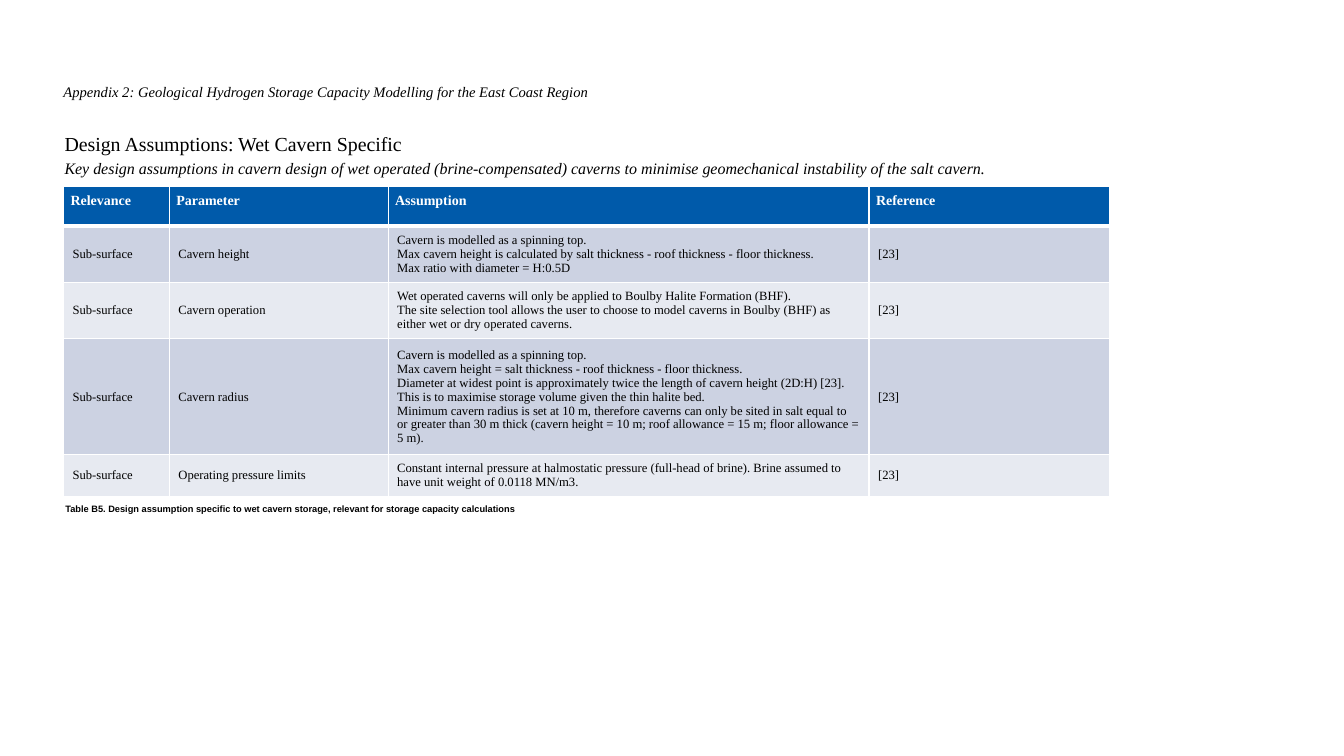
from lxml import etree
from pptx import Presentation
from pptx.dml.color import RGBColor
from pptx.enum.text import MSO_ANCHOR as Anchor
from pptx.oxml.ns import qn
from pptx.util import Inches, Pt

COLORS = {"black": "000000", "white": "FFFFFF", "header": "005AAA",
          "odd": "CCD2E2", "even": "E7EAF1"}
SERIF, SANS = "Times New Roman", "Arial"

# Content: text, (left, top, width, height), inset (x, y), anchor, font
TEXTS = [
    ("Appendix 2: Geological Hydrogen Storage Capacity Modelling for the East Coast Region",
     (0.63, 0.84, 5.53, 0.16), (0, 0), Anchor.BOTTOM,
     dict(size=10.4, italic=True)),
    ("Design Assumptions: Wet Cavern Specific",
     (0.64, 1.02, 12.06, 0.52), (0, 0), Anchor.BOTTOM,
     dict(size=14.2, line_spacing=44)),
    ("Key design assumptions in cavern design of wet operated (brine-compensated) caverns "
     "to minimise geomechanical instability of the salt cavern.",
     (0.64, 1.57, 12.06, 0.53), (0, 0), Anchor.TOP,
     dict(size=11.4, italic=True)),
    ("Table B5. Design assumption specific to wet cavern storage, relevant for storage "
     "capacity calculations",
     (0.55, 4.94, 6.74, 0.37), (0.1, 0.05), Anchor.TOP,
     dict(size=6.6, bold=True, name=SANS)),
]
HEADERS = ["Relevance", "Parameter", "Assumption", "Reference"]
RELEVANCE, REFERENCE = "Sub-surface", "[23]"
ASSUMPTIONS = [
    ("Cavern height",
     "Cavern is modelled as a spinning top.\n"
     "Max cavern height is calculated by salt thickness - roof thickness - floor thickness.\n"
     "Max ratio with diameter = H:0.5D"),
    ("Cavern operation",
     "Wet operated caverns will only be applied to Boulby Halite Formation (BHF).\n"
     "The site selection tool allows the user to choose to model caverns in Boulby (BHF) "
     "as either wet or dry operated caverns."),
    ("Cavern radius",
     "Cavern is modelled as a spinning top.\n"
     "Max cavern height = salt thickness - roof thickness - floor thickness.\n"
     "Diameter at widest point is approximately twice the length of cavern height (2D:H) "
     "[23]. This is to maximise storage volume given the thin halite bed.\n"
     "Minimum cavern radius is set at 10 m, therefore caverns can only be sited in salt "
     "equal to or greater than 30 m thick (cavern height = 10 m; roof allowance = 15 m; "
     "floor allowance = 5 m)."),
    ("Operating pressure limits",
     "Constant internal pressure at halmostatic pressure (full-head of brine). Brine "
     "assumed to have unit weight of 0.0118 MN/m3."),
]
TABLE_LEFT, TABLE_TOP = 0.63, 1.85
COLUMN_WIDTHS = [1.05, 2.17, 4.77, 2.39]
ROW_HEIGHTS = [0.39, 0.56, 0.56, 1.03, 0.41]


def format_text(frame, size, color="black", name=SERIF, bold=False, italic=False,
                line_spacing=None):
    for para in frame.paragraphs:
        if line_spacing:
            para.line_spacing = Pt(line_spacing)
        for span in para.runs:
            font = span.font
            font.size, font.name = Pt(size), name
            font.bold, font.italic = bold, italic
            font.color.rgb = RGBColor.from_string(COLORS[color])


def set_margins(target, x, y):
    target.margin_left = target.margin_right = Inches(x)
    target.margin_top = target.margin_bottom = Inches(y)


def add_borders(cell, bottom):
    properties = cell._tc.get_or_add_tcPr()
    sides = [("a:lnL", 1), ("a:lnR", 1), ("a:lnT", 1), ("a:lnB", bottom)]
    for index, (side, width) in enumerate(sides):
        line = etree.Element(qn(side), w=str(Pt(width)))
        fill = etree.SubElement(line, qn("a:solidFill"))
        etree.SubElement(fill, qn("a:srgbClr"), val=COLORS["white"])
        properties.insert(index, line)


def add_text(slide, text, place, inset, anchor, style):
    box = slide.shapes.add_textbox(*map(Inches, place))
    frame = box.text_frame
    frame.word_wrap = True
    frame.vertical_anchor = anchor
    set_margins(frame, *inset)
    frame.text = text
    format_text(frame, **style)


def add_assumption_table(slide):
    rows = [HEADERS] + [[RELEVANCE, parameter, assumption, REFERENCE]
                        for parameter, assumption in ASSUMPTIONS]
    table = slide.shapes.add_table(
        len(rows), len(HEADERS), Inches(TABLE_LEFT), Inches(TABLE_TOP),
        Inches(sum(COLUMN_WIDTHS)), Inches(sum(ROW_HEIGHTS))).table
    for column, width in zip(table.columns, COLUMN_WIDTHS):
        column.width = Inches(width)
    for row, height in zip(table.rows, ROW_HEIGHTS):
        row.height = Inches(height)

    for r, values in enumerate(rows):
        is_header = r == 0
        fill = "header" if is_header else "odd" if r % 2 else "even"
        for c, value in enumerate(values):
            cell = table.cell(r, c)
            cell.text_frame.text = value
            cell.fill.solid()
            cell.fill.fore_color.rgb = RGBColor.from_string(COLORS[fill])
            add_borders(cell, bottom=3 if is_header else 1)
            if is_header:
                set_margins(cell, 0.07, 0.07)
                format_text(cell.text_frame, 10, "white", bold=True)
            else:
                set_margins(cell, 0.09, 0.05)
                cell.vertical_anchor = Anchor.MIDDLE
                format_text(cell.text_frame, 9)


def main():
    deck = Presentation()
    deck.slide_width, deck.slide_height = Inches(13.33), Inches(7.5)
    page = deck.slides.add_slide(deck.slide_layouts[6])
    # Headings and caption
    for entry in TEXTS:
        add_text(page, *entry)
    # Design assumptions
    add_assumption_table(page)
    deck.save("out.pptx")


if __name__ == "__main__":
    main()
